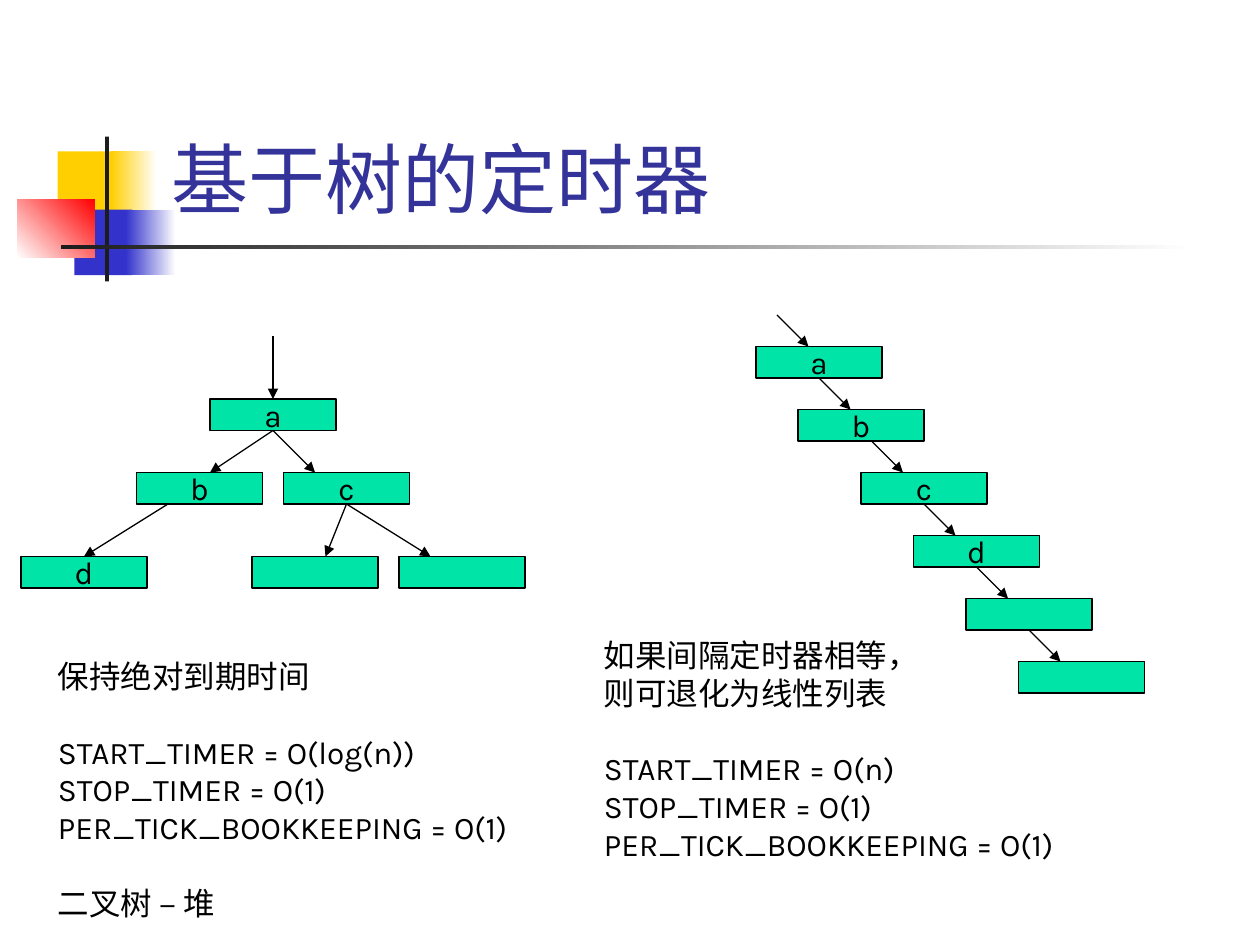
from pptx import Presentation
from pptx.dml.color import RGBColor
from pptx.enum.shapes import MSO_CONNECTOR, MSO_SHAPE
from pptx.enum.text import MSO_ANCHOR, PP_ALIGN
from pptx.oxml.ns import qn
from pptx.util import Pt
from lxml.etree import SubElement

FONT = "Karla"
TITLE = "基于树的定时器"

# left, top, width, height, colours (two make a gradient), angle
DECOR = [
    (33, 86.5, 34.5, 37.5, ["FFCF01"], 0),
    (63.5, 86.5, 26, 37.5, ["FFCF01", "FFFFFF"], 0),
    (42.5, 119.75, 33, 37.5, ["3333CC"], 0),
    (72, 119.75, 28.5, 37.5, ["3333CC", "FFFFFF"], 0),
    (9.75, 113.75, 44.25, 33.5, ["FFFFFF", "FF0000"], 45),
    (60, 78, 2.25, 82.75, ["1C1C1C"], 0),
    (34.75, 140, 648, 2.5, ["1C1C1C", "FFFFFF"], 0),
]

NODE_W, NODE_H = 72, 18
# key: left, top, label
TREE = {
    "root": (120, 228, "a"),
    "left": (78, 270, "b"),
    "right": (162, 270, "c"),
    "leaf1": (144, 318, ""),
    "leaf2": (228, 318, ""),
    "leaf0": (12, 318, "d"),
}
# start and end: a node key joins its bottom or top middle, a pair is a point
EDGES = [
    ("root", (180, 270)),
    ("root", (120, 270)),
    ("right", (186, 318)),
    ("right", (246, 318)),
    ((96, 288), "leaf0"),
    ((156, 192), "root"),
]

# left, label, start of the arrow that leads into the node
CHAIN = [
    (432, "a", 444),
    (456, "b", 468),
    (492, "c", 498),
    (522, "d", 528),
    (552, "", 558),
    (582, "", 588),
]
CHAIN_TOP, CHAIN_STEP = 198, 36

COSTS = ["STOP_TIMER = O(1)", "PER_TICK_BOOKKEEPING = O(1)"]
# left, top, width, height, groups of lines
NOTES = [
    (26, 372, 281.5, 158.5, [
        ["保持绝对到期时间"],
        ["START_TIMER = O(log(n))", *COSTS],
        ["二叉树 – 堆"],
    ]),
    (338, 360, 281.5, 137, [
        ["如果间隔定时器相等，", "则可退化为线性列表"],
        ["START_TIMER = O(n)", *COSTS],
    ]),
]
GROUP_GAP = 21.5


def rgb(code):
    return RGBColor.from_string(code)


def write(para, text, size=18, color="000000", align=PP_ALIGN.LEFT, before=0):
    para.alignment = align
    para.space_before = Pt(before)
    run = para.add_run()
    run.text = text
    run.font.name = FONT
    run.font.size = Pt(size)
    run.font.color.rgb = rgb(color)


def add_rect(slide, box, colors, angle=0):
    rect = slide.shapes.add_shape(MSO_SHAPE.RECTANGLE, *map(Pt, box))
    rect.shadow.inherit = False
    rect.line.fill.background()
    if len(colors) == 1:
        rect.fill.solid()
        rect.fill.fore_color.rgb = rgb(colors[0])
    else:
        rect.fill.gradient()
        rect.fill.gradient_angle = angle
        for stop, color in zip(rect.fill.gradient_stops, colors):
            stop.color.rgb = rgb(color)
    return rect


def add_node(slide, left, top, label):
    node = add_rect(slide, (left, top, NODE_W, NODE_H), ["00E4A8"])
    node.line.color.rgb = rgb("000000")
    node.line.width = Pt(0.75)
    if label:
        frame = node.text_frame
        frame.word_wrap = False
        frame.vertical_anchor = MSO_ANCHOR.MIDDLE
        write(frame.paragraphs[0], label, align=PP_ALIGN.CENTER)
    return node


def add_arrow(slide, start, end, nodes):
    """Draw an arrow; an end that is a key of nodes is joined to that node."""
    points = [(0, 0) if p in nodes else p for p in (start, end)]
    arrow = slide.shapes.add_connector(
        MSO_CONNECTOR.STRAIGHT, *[Pt(v) for p in points for v in p])
    if start in nodes:
        arrow.begin_connect(nodes[start], 2)
    if end in nodes:
        arrow.end_connect(nodes[end], 0)
    arrow.line.color.rgb = rgb("000000")
    arrow.line.width = Pt(0.75)
    line = arrow.line._get_or_add_ln()
    SubElement(line, qn("a:tailEnd"), type="triangle")
    SubElement(arrow._element.spPr, qn("a:effectLst"))


def add_title(slide):
    title = slide.shapes.title
    title.left, title.top, title.width, title.height = map(
        Pt, (90.75, 16.5, 613.5, 115.25))
    title.text_frame.vertical_anchor = MSO_ANCHOR.BOTTOM
    write(title.text_frame.paragraphs[0], TITLE, size=44, color="333399")
    slide.shapes._spTree.append(title._element)  # in front of the decor


def add_tree(slide):
    nodes = {key: add_node(slide, *node) for key, node in TREE.items()}
    for start, end in EDGES:
        add_arrow(slide, start, end, nodes)


def add_chain(slide):
    nodes = {}
    for i, (left, label, x) in enumerate(CHAIN):
        top = CHAIN_TOP + i * CHAIN_STEP
        nodes[i] = add_node(slide, left, top, label)
        joined = i and x == CHAIN[i - 1][0] + NODE_W / 2
        start = i - 1 if joined else (x, top - NODE_H)
        add_arrow(slide, start, (x + NODE_H, top), nodes)


def add_note(slide, box, groups):
    frame = slide.shapes.add_textbox(*map(Pt, box)).text_frame
    frame.word_wrap = True
    para = frame.paragraphs[0]
    for g, group in enumerate(groups):
        for i, text in enumerate(group):
            if g or i:
                para = frame.add_paragraph()
            write(para, text, before=GROUP_GAP if g and not i else 0)


def main():
    prs = Presentation()
    prs.slide_width, prs.slide_height = Pt(720), Pt(540)
    slide = prs.slides.add_slide(prs.slide_layouts[5])
    for *box, colors, angle in DECOR:
        add_rect(slide, box, colors, angle)
    add_title(slide)
    add_tree(slide)
    add_chain(slide)
    for *box, groups in NOTES:
        add_note(slide, box, groups)
    prs.save("out.pptx")


if __name__ == "__main__":
    main()
